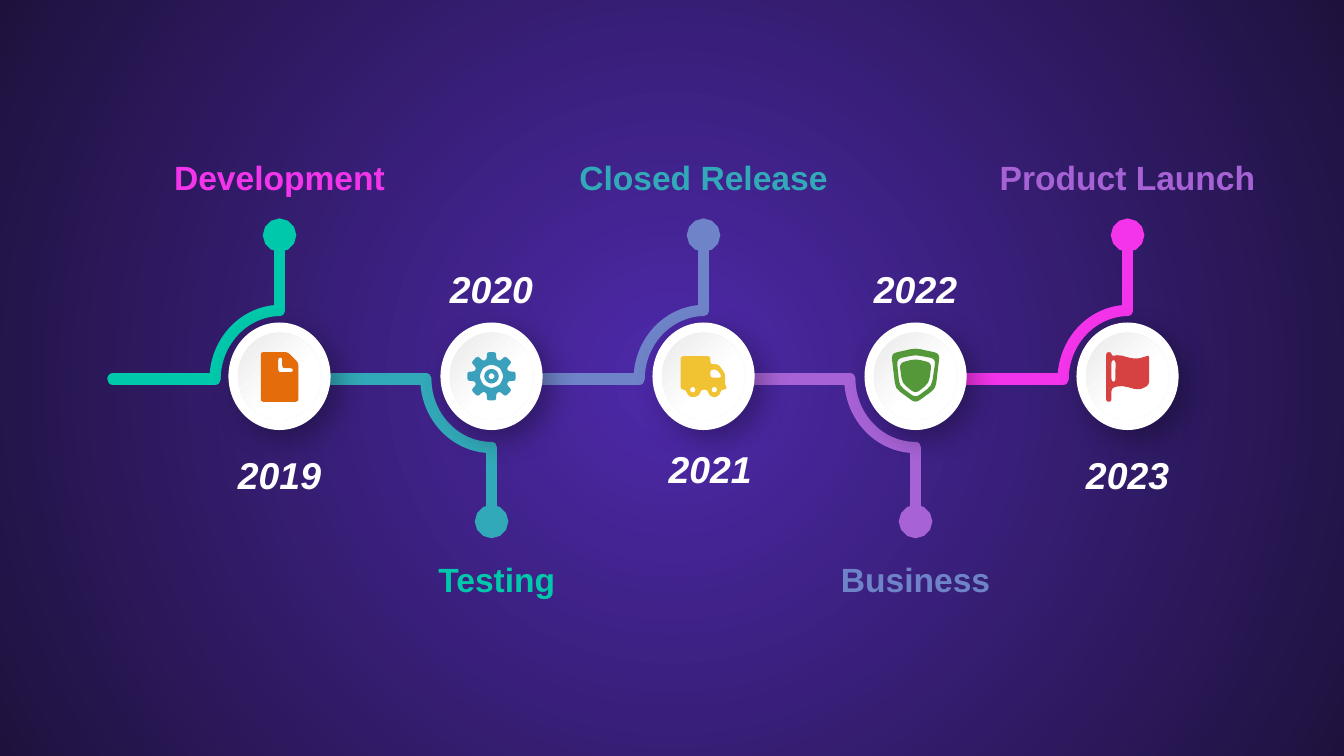
from dataclasses import dataclass
from math import cos, dist, pi, sin

from lxml.etree import SubElement
from pptx import Presentation
from pptx.dml.color import RGBColor
from pptx.enum.shapes import MSO_CONNECTOR, MSO_SHAPE
from pptx.enum.text import MSO_ANCHOR, PP_ALIGN
from pptx.oxml.ns import qn
from pptx.util import Inches, Pt


@dataclass(frozen=True)
class Theme:
    font: str = "Arial"
    year_size: int = 20
    label_size: int = 18
    line_width: int = 6
    white: str = "FFFFFF"
    disc_shade: str = "EAEAEA"
    glow: str = "4E29AA"
    night: str = "1E123D"
    green: str = "00C8AA"
    teal: str = "32A9B8"
    blue: str = "6F84C8"
    violet: str = "A763D6"
    pink: str = "F434EA"


theme = Theme()
deck = Presentation()
deck.slide_width, deck.slide_height = Inches(10), Inches(10 * 9 / 16)
page = deck.slides.add_slide(deck.slide_layouts[6])


def add_text(text, *, center, top, width, height, size, color, italic=False):
    box = page.shapes.add_textbox(
        Inches(center - width / 2), Inches(top), Inches(width), Inches(height))
    frame = box.text_frame
    frame.word_wrap = True
    frame.vertical_anchor = MSO_ANCHOR.MIDDLE
    para = frame.paragraphs[0]
    para.alignment = PP_ALIGN.CENTER
    span = para.add_run()
    span.text = text
    span.font.name, span.font.size = theme.font, Pt(size)
    span.font.bold, span.font.italic = True, italic
    span.font.color.rgb = RGBColor.from_string(color)


def split_corners(points, radius):
    """Give each corner of a closed outline as curve start, control and end."""
    result = []
    for index, corner in enumerate(points):
        start, end = [
            [c + (o - c) * min(0.5, radius / dist(corner, other))
             for c, o in zip(corner, other)]
            for other in (points[index - 1], points[(index + 1) % len(points)])]
        result += [start, corner, end]
    return result


# Grid: five columns, branches alternate above and below the axis
first_column, last_column = 2.08, 8.39
columns = [first_column + (last_column - first_column) / 4 * i for i in range(5)]
disc_row, axis_row = 2.8, 2.82

# Year, its shift and top, label, its shift, width and colour, branch colour
steps = [
    ("2019", 0, 3.38, "Development", 0, 1.81, theme.pink, theme.green),
    ("2020", 0, 2, "Testing", 0.04, 1.36, theme.green, theme.teal),
    ("2021", 0.05, 3.34, "Closed Release", 0, 2.16, theme.teal, theme.blue),
    ("2022", 0, 2, "Business", 0, 1.92, theme.blue, theme.violet),
    ("2023", 0, 3.38, "Product Launch", 0, 2.36, theme.violet, theme.pink),
]

# Background: radial gradient from the centre
fill = page.background.fill
fill.gradient()
for stop, color in zip(fill.gradient_stops, (theme.glow, theme.night)):
    stop.color.rgb = RGBColor.from_string(color)
gradient = page.background._cSld.find(".//" + qn("a:gradFill"))
gradient.remove(gradient.find(qn("a:lin")))
circle = SubElement(gradient, qn("a:path"), path="circle")
SubElement(circle, qn("a:fillToRect"), l="50000", t="50000", r="50000", b="50000")

# Branches: rail, quarter bend and stem with a round end
for index, (column, step) in enumerate(zip(columns, steps)):
    color = RGBColor.from_string(step[-1])
    below = index % 2 == 1
    bend_left = column - (0.49 if below else 0.48)
    bend = page.shapes.add_shape(
        MSO_SHAPE.ARC, Inches(bend_left), Inches(2.3 if below else 2.31),
        Inches(0.98), Inches(1.03))
    bend.adjustments[0], bend.adjustments[1] = 108.13, 161.31
    bend.fill.background()
    bend.shadow.inherit = False
    if below:
        bend.rotation = 180
        bend._element.spPr.find(qn("a:xfrm")).set("flipH", "1")
    stem_start, stem_end = (3.33, 3.88) if below else (2.31, 1.75)
    rail = page.shapes.add_connector(
        MSO_CONNECTOR.STRAIGHT, Inches(bend_left), Inches(axis_row),
        Inches(bend_left - 0.76), Inches(axis_row))
    stem = page.shapes.add_connector(
        MSO_CONNECTOR.STRAIGHT, Inches(column), Inches(stem_start),
        Inches(column), Inches(stem_end))
    for part in (bend, rail, stem):
        part.line.color.rgb = color
        part.line.width = Pt(theme.line_width)
        outline = part.line._get_or_add_ln()
        outline.set("cap", "rnd")
        SubElement(outline, qn("a:round"))
        if part is stem:
            SubElement(outline, qn("a:tailEnd"), type="oval")
        if part is not bend:
            SubElement(part._element.spPr, qn("a:effectLst"))

# Discs: white plate with a shadow, shaded face on top
for column in columns:
    for width, height in ((0.76, 0.8), (0.62, 0.65)):
        disc = page.shapes.add_shape(
            MSO_SHAPE.OVAL, Inches(column - width / 2),
            Inches(disc_row - height / 2), Inches(width), Inches(height))
        disc.line.fill.background()
        disc.shadow.inherit = False
        if width == 0.76:
            disc.fill.solid()
            disc.fill.fore_color.rgb = RGBColor.from_string(theme.white)
            effects = disc._element.spPr.find(qn("a:effectLst"))
            shadow = SubElement(
                effects, qn("a:outerShdw"), blurRad=str(Pt(15)), dist=str(Pt(7)),
                dir=str(45 * 60000), algn="tl", rotWithShape="0")
            tint = SubElement(shadow, qn("a:srgbClr"), val="000000")
            SubElement(tint, qn("a:alpha"), val="30000")
        else:
            disc.fill.gradient()
            disc.fill.gradient_angle = 315
            shades = ((0, theme.disc_shade), (0.6, theme.white))
            for stop, (place, color) in zip(disc.fill.gradient_stops, shades):
                stop.position = place
                stop.color.rgb = RGBColor.from_string(color)

# Years and labels
for index, (column, step) in enumerate(zip(columns, steps)):
    year, year_shift, year_top, label, label_shift, width, color, _ = step
    add_text(year, center=column + year_shift, top=year_top, width=0.88,
             height=0.3, size=theme.year_size, color=theme.white, italic=True)
    add_text(label, center=column + label_shift, top=3.97 if index % 2 else 0.98,
             width=width, height=0.68, size=theme.label_size, color=color)

# Icon outlines in hundredths of an inch from the disc centre
document = [
    [(-14, -18), (6, -18), (14, -10), (14, 19), (-14, 19)],
    [(-1, -14), (2, -14), (2, -6), (10, -6), (10, -3), (-1, -3)],
]
teeth = []
for tooth in range(8):
    turn = tooth * pi / 4
    for x, y in ((12.5, -3.5), (18, -3.5), (18, 3.5), (12.5, 3.5)):
        teeth.append((x * cos(turn) - y * sin(turn), x * sin(turn) + y * cos(turn)))
gear = [teeth] + [
    [(radius * cos(k * pi / 4), radius * sin(k * pi / 4)) for k in range(8)]
    for radius in (9, 5.8, 2.4)]
truck = [
    [(-17, -15), (5, -15), (5, -9), (11, -9), (16, -2), (16, 7), (18, 8.5),
     (16, 10), (13, 10), (12, 14), (8, 16), (4, 14), (3, 10), (-2, 10),
     (-3, 14), (-8, 16), (-12, 14), (-13, 10), (-17, 10)],
    [(5, -5), (10, -5), (13, -1), (13, 1), (5, 1)],
] + [[(x - 2, 8), (x + 2, 8), (x + 2, 12), (x - 2, 12)] for x in (-8, 8)]
shield = [
    [(-18, -17), (0, -21), (18, -17), (15, 9), (0, 20), (-15, 9)],
    [(-14, -13), (0, -16), (15, -13), (12, 7), (0, 16), (-12, 7)],
    [(-12, -10), (0, -13), (12, -10), (10, 5), (0, 13), (-10, 5)],
]
flag = [
    [(-16, -18), (-12, -18), (-12, -15), (-6, -16), (0, -14), (6, -13),
     (12, -14), (16, -16), (16, 6), (12, 9), (7, 10), (0, 8), (-6, 7),
     (-12, 9), (-12, 19), (-16, 19)],
    [(-12, -12), (-9, -12), (-9, 4), (-12, 4)],
]
icons = [(document, "E46C0A", 2), (shield, "55983A", 4), (gear, "3BA0BB", 2),
         (flag, "D64242", 2), (truck, "F1C232", 2)]

for column_index, (contours, color, radius) in zip((0, 3, 1, 4, 2), icons):
    builder = None
    for contour in contours:
        points = [(Inches(columns[column_index] + x / 100), Inches(disc_row + y / 100))
                  for x, y in split_corners(contour, radius)]
        if builder is None:
            builder = page.shapes.build_freeform(*points[0])
        else:
            builder.move_to(*points[0])
        builder.add_line_segments(points[1:], close=False)
    icon = builder.convert_to_shape()
    icon.fill.solid()
    icon.fill.fore_color.rgb = RGBColor.from_string(color)
    icon.line.fill.background()
    icon.shadow.inherit = False
    # Turn control and end of each corner into one curve
    outline = icon._element.find(".//" + qn("a:path"))
    nodes = list(outline)
    for start, control, end in zip(nodes[::3], nodes[1::3], nodes[2::3]):
        control.tag = qn("a:quadBezTo")
        control.append(end[0])
        outline.remove(end)
        if start.tag == qn("a:moveTo") and start is not nodes[0]:
            start.addprevious(outline.makeelement(qn("a:close")))
    SubElement(outline, qn("a:close"))

deck.save("out.pptx")
